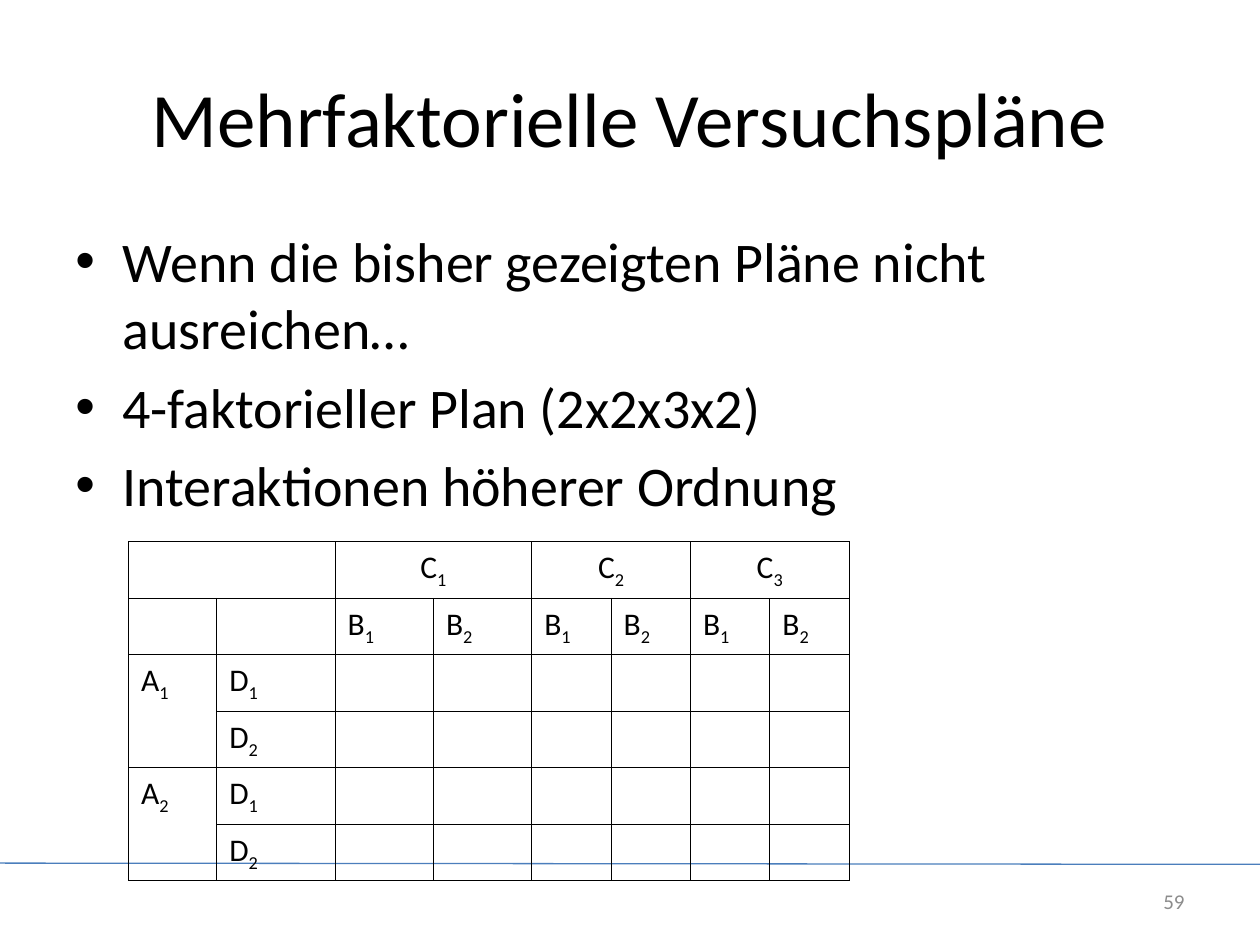
"""Build a slide with a bullet list and the grid of a four-factor design."""
from lxml import etree
from pptx import Presentation
from pptx.dml.color import RGBColor
from pptx.enum.shapes import MSO_CONNECTOR
from pptx.enum.text import MSO_ANCHOR, PP_ALIGN
from pptx.oxml.ns import qn
from pptx.util import Inches, Pt

LEFT, CENTER, RIGHT = PP_ALIGN.LEFT, PP_ALIGN.CENTER, PP_ALIGN.RIGHT
TOP, MIDDLE = MSO_ANCHOR.TOP, MSO_ANCHOR.MIDDLE
FONT = "Calibri"
BLACK, GRAY, BLUE = "000000", "8C8C8C", "4B7EBC"
WIDTH, HEIGHT = 10, 7.5
MARGIN = 0.05 * WIDTH
CONTENT_WIDTH = WIDTH - 2 * MARGIN
INDENT = 0.375

TITLE = "Mehrfaktorielle Versuchspläne"
BULLETS = [
    "Wenn die bisher gezeigten Pläne nicht ausreichen…",
    "4-faktorieller Plan (2x2x3x2)",
    "Interaktionen höherer Ordnung",
]
PAGE_NUMBER = "59"

DESIGN = [
    ["", "", "C1", "", "C2", "", "C3", ""],
    ["", "", "B1", "B2", "B1", "B2", "B1", "B2"],
    ["A1", "D1"],
    ["", "D2"],
    ["A2", "D1"],
    ["", "D2"],
]
COLUMN_WIDTHS = [0.7, 0.94] + 2 * [0.78] + 4 * [0.63]
ROW_HEIGHT = 2.68 / len(DESIGN)
TABLE_LEFT, TABLE_TOP = 1.02, 4.3
MERGES = [((0, column), (0, column + 1)) for column in range(0, 8, 2)]
MERGES += [((row, 0), (row + 1, 0)) for row in (2, 4)]


def color(value):
    return RGBColor.from_string(value)


def style(paragraph, size, align=LEFT, tone=BLACK):
    paragraph.alignment = align
    paragraph.font.name = FONT
    paragraph.font.size = Pt(size)
    paragraph.font.color.rgb = color(tone)


def add_text(slide, box, lines, size, align=LEFT, anchor=TOP, tone=BLACK, bullet=None):
    frame = slide.shapes.add_textbox(*map(Inches, box)).text_frame
    frame.word_wrap = True
    frame.vertical_anchor = anchor
    frame.text = "\n".join(lines)
    for index, paragraph in enumerate(frame.paragraphs):
        if bullet:
            properties = paragraph._p.get_or_add_pPr()
            properties.set("marL", str(Inches(INDENT)))
            properties.set("indent", str(-Inches(INDENT)))
            etree.SubElement(properties, qn("a:buFont"), typeface="Arial")
            etree.SubElement(properties, qn("a:buChar"), char=bullet)
            if index:
                paragraph.space_before = Pt(0.2 * size)
        style(paragraph, size, align, tone)


def add_rule(slide):
    ends = map(Inches, (0, 6.85, WIDTH, 6.86))
    rule = slide.shapes.add_connector(MSO_CONNECTOR.STRAIGHT, *ends)
    rule.line.color.rgb = color(BLUE)
    rule.line.width = Pt(0.75)
    etree.SubElement(rule._element.spPr, qn("a:effectLst"))


def add_borders(cell):
    properties = cell._tc.get_or_add_tcPr()
    for side in ("lnL", "lnR", "lnT", "lnB"):
        line = etree.SubElement(properties, qn(f"a:{side}"), w=str(Pt(0.45)))
        fill = etree.SubElement(line, qn("a:solidFill"))
        etree.SubElement(fill, qn("a:srgbClr"), val=BLACK)


def fill_cell(cell, label, align):
    add_borders(cell)
    cell.fill.background()
    paragraph = cell.text_frame.paragraphs[0]
    style(paragraph, 18, align)
    if label:
        paragraph.line_spacing = 1.02
        factor, level = label
        paragraph.add_run().text = factor
        subscript = paragraph.add_run()
        subscript.text = level
        subscript._r.get_or_add_rPr().set("baseline", "-25000")


def add_design(slide):
    box = (TABLE_LEFT, TABLE_TOP, sum(COLUMN_WIDTHS), ROW_HEIGHT * len(DESIGN))
    shape = slide.shapes.add_table(len(DESIGN), len(COLUMN_WIDTHS), *map(Inches, box))
    table = shape.table
    table.first_row = table.horz_banding = False
    for column, width in zip(table.columns, COLUMN_WIDTHS):
        column.width = Inches(width)
    for row_index, labels in enumerate(DESIGN):
        table.rows[row_index].height = Inches(ROW_HEIGHT)
        for column_index in range(len(COLUMN_WIDTHS)):
            label = labels[column_index] if column_index < len(labels) else ""
            align = LEFT if row_index else CENTER
            fill_cell(table.cell(row_index, column_index), label, align)
    for first, last in MERGES:
        table.cell(*first).merge(table.cell(*last))


def main():
    presentation = Presentation()
    presentation.slide_width, presentation.slide_height = Inches(WIDTH), Inches(HEIGHT)
    slide = presentation.slides.add_slide(presentation.slide_layouts[6])
    add_rule(slide)
    add_text(slide, (MARGIN, 0.3, CONTENT_WIDTH, 1.25), [TITLE], 44, CENTER, MIDDLE)
    add_text(slide, (MARGIN, 1.75, CONTENT_WIDTH, 4.95), BULLETS, 32, bullet="•")
    add_design(slide)
    add_text(slide, (8.59, 6.95, 0.91, 0.4), [PAGE_NUMBER], 12, RIGHT, MIDDLE, GRAY)
    presentation.save("out.pptx")


if __name__ == "__main__":
    main()
